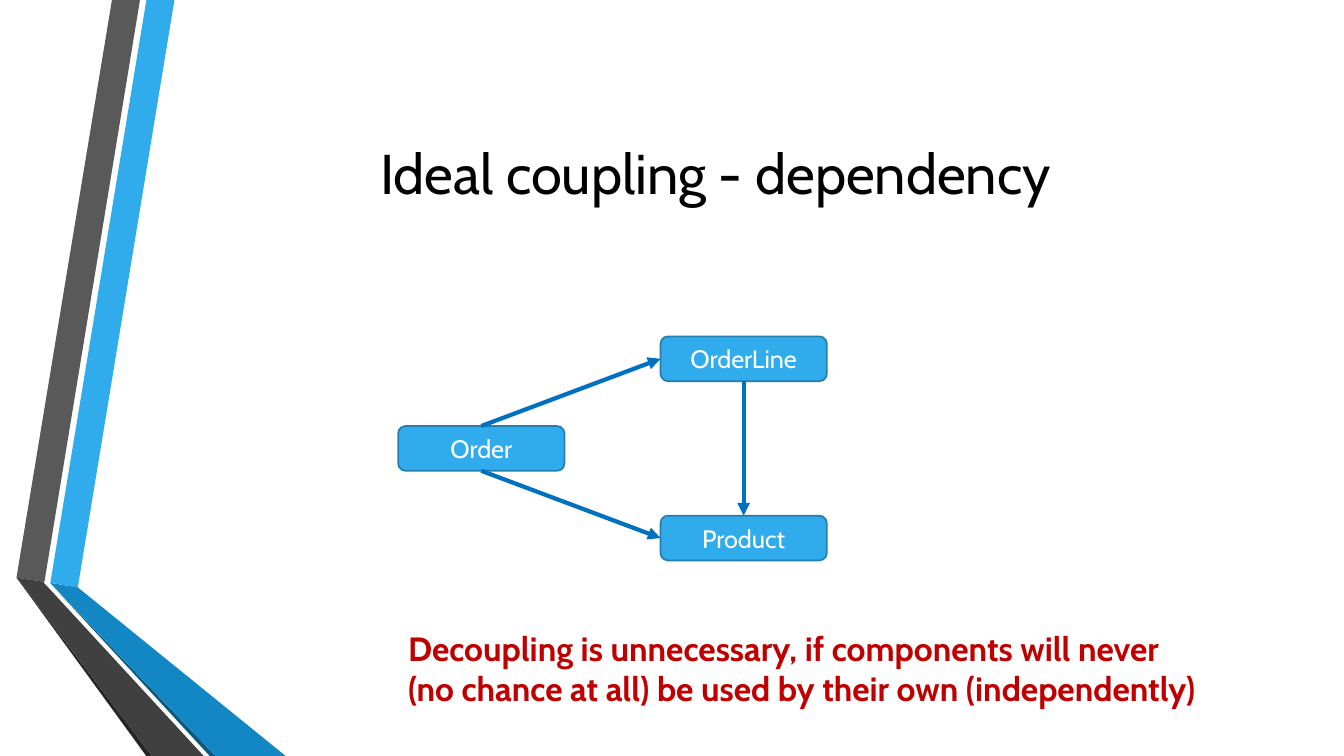
"""Build a slide on ideal coupling with a small dependency diagram."""
from typing import NamedTuple

import lxml.etree
import pptx
import pptx.dml.color
import pptx.enum.shapes
import pptx.enum.text
import pptx.oxml.ns
import pptx.util

RGBColor = pptx.dml.color.RGBColor
Pt = pptx.util.Pt
Align = pptx.enum.text.PP_ALIGN
Anchor = pptx.enum.text.MSO_ANCHOR

BLACK = RGBColor(0x00, 0x00, 0x00)
WHITE = RGBColor(0xFF, 0xFF, 0xFF)
RED = RGBColor(0xC0, 0x00, 0x00)
SKY = RGBColor(0x30, 0xAC, 0xEC)
SKY_EDGE = RGBColor(0x24, 0x7F, 0xAF)
ARROW_BLUE = RGBColor(0x00, 0x70, 0xC0)
OCEAN = RGBColor(0x12, 0x87, 0xC3)
NAVY = RGBColor(0x0C, 0x5A, 0x82)
GRAY = RGBColor(0x59, 0x59, 0x59)
DARK_GRAY = RGBColor(0x40, 0x40, 0x40)
CHARCOAL = RGBColor(0x26, 0x26, 0x26)

FONT = "Cabin"
BOX_WIDTH, BOX_HEIGHT = 118.8, 32
FIRST_ROW_TOP, ROW_STEP = 240.3, 64
TOP_SITE, LEFT_SITE, BOTTOM_SITE = 0, 1, 2


class Ribbon(NamedTuple):
    color: RGBColor
    points: list[tuple[float, float]]


class Component(NamedTuple):
    name: str
    left: float
    row: int


class Dependency(NamedTuple):
    source: str
    source_site: int
    target: str
    target_site: int


RIBBONS = [
    Ribbon(SKY, [(36, 416.2), (55.6, 419.6), (124.6, 0), (104.6, 0)]),
    Ribbon(GRAY, [(100, 0), (80, 0), (11.8, 412.6), (31.8, 415.6)]),
    Ribbon(CHARCOAL, [(11.8, 412.6), (104.5, 540), (108.5, 540)]),
    Ribbon(NAVY, [(36, 416.6), (149.8, 540), (154, 540)]),
    Ribbon(OCEAN, [(36, 416.4), (154, 540), (204, 540), (55.6, 419.6)]),
    Ribbon(DARK_GRAY, [(145.5, 540), (34.6, 419.8), (31, 416), (31.8, 415.6),
                       (11.8, 412.6), (108.5, 540)]),
]
COMPONENTS = [
    Component("Order", 284.4, 1),
    Component("OrderLine", 471.8, 0),
    Component("Product", 471.8, 2),
]
DEPENDENCIES = [
    Dependency("Order", TOP_SITE, "OrderLine", LEFT_SITE),
    Dependency("Order", BOTTOM_SITE, "Product", LEFT_SITE),
    Dependency("OrderLine", BOTTOM_SITE, "Product", TOP_SITE),
]


def write_text(shape, text: str, *, size: float, color: RGBColor, bold: bool = False,
               align: Align = Align.CENTER, anchor: Anchor = Anchor.MIDDLE) -> None:
    """Put formatted text into a shape."""
    frame = shape.text_frame
    frame.word_wrap = True
    frame.vertical_anchor = anchor
    paragraph = frame.paragraphs[0]
    paragraph.alignment = align
    run = paragraph.add_run()
    run.text = text
    run.font.name = FONT
    run.font.size = Pt(size)
    run.font.bold = bold
    run.font.color.rgb = color


def add_text_box(slide, left: float, top: float, width: float, height: float):
    """Add an empty text box."""
    return slide.shapes.add_textbox(Pt(left), Pt(top), Pt(width), Pt(height))


def fill_shape(shape, color: RGBColor) -> None:
    """Give a shape a flat fill without shadow."""
    shape.shadow.inherit = False
    shape.fill.solid()
    shape.fill.fore_color.rgb = color


def draw_ribbon(slide, ribbon: Ribbon) -> None:
    """Draw one closed polygon of the side decoration."""
    start, *rest = [(Pt(x), Pt(y)) for x, y in ribbon.points]
    builder = slide.shapes.build_freeform(*start)
    builder.add_line_segments(rest, close=True)
    shape = builder.convert_to_shape()
    fill_shape(shape, ribbon.color)
    shape.line.fill.background()


def draw_component(slide, component: Component):
    """Draw a labelled rounded box and return it."""
    top = FIRST_ROW_TOP + component.row * ROW_STEP
    shape = slide.shapes.add_shape(
        pptx.enum.shapes.MSO_SHAPE.ROUNDED_RECTANGLE,
        Pt(component.left), Pt(top), Pt(BOX_WIDTH), Pt(BOX_HEIGHT))
    fill_shape(shape, SKY)
    shape.line.color.rgb = SKY_EDGE
    shape.line.width = Pt(1.25)
    write_text(shape, component.name, size=18, color=WHITE)
    return shape


def draw_dependency(slide, dependency: Dependency, boxes: dict) -> None:
    """Draw an arrow glued to its two boxes."""
    connector = slide.shapes.add_connector(
        pptx.enum.shapes.MSO_CONNECTOR.STRAIGHT, Pt(0), Pt(0), Pt(0), Pt(0))
    connector.begin_connect(boxes[dependency.source], dependency.source_site)
    connector.end_connect(boxes[dependency.target], dependency.target_site)
    connector.line.color.rgb = ARROW_BLUE
    connector.line.width = Pt(3)
    qualified = pptx.oxml.ns.qn
    lxml.etree.SubElement(connector.line._get_or_add_ln(), qualified("a:tailEnd"),
                          type="triangle")
    lxml.etree.SubElement(connector._element.spPr, qualified("a:effectLst"))


def main() -> None:
    """Build and save the presentation."""
    presentation = pptx.Presentation()
    presentation.slide_width = Pt(960)
    presentation.slide_height = Pt(540)
    slide = presentation.slides.add_slide(presentation.slide_layouts[6])

    for ribbon in RIBBONS:
        draw_ribbon(slide, ribbon)

    title = add_text_box(slide, 116.6, 54, 789, 138)
    write_text(title, "Ideal coupling - dependency", size=40, color=BLACK)

    boxes = {component.name: draw_component(slide, component) for component in COMPONENTS}
    for dependency in DEPENDENCIES:
        draw_dependency(slide, dependency, boxes)

    conclusion = add_text_box(slide, 284.4, 445, 584, 65.4)
    write_text(conclusion, "Decoupling is unnecessary, if components will never "
               "(no chance at all) be used by their own (independently)",
               size=24, color=RED, bold=True, align=Align.LEFT, anchor=Anchor.TOP)

    presentation.save("out.pptx")


if __name__ == "__main__":
    main()
